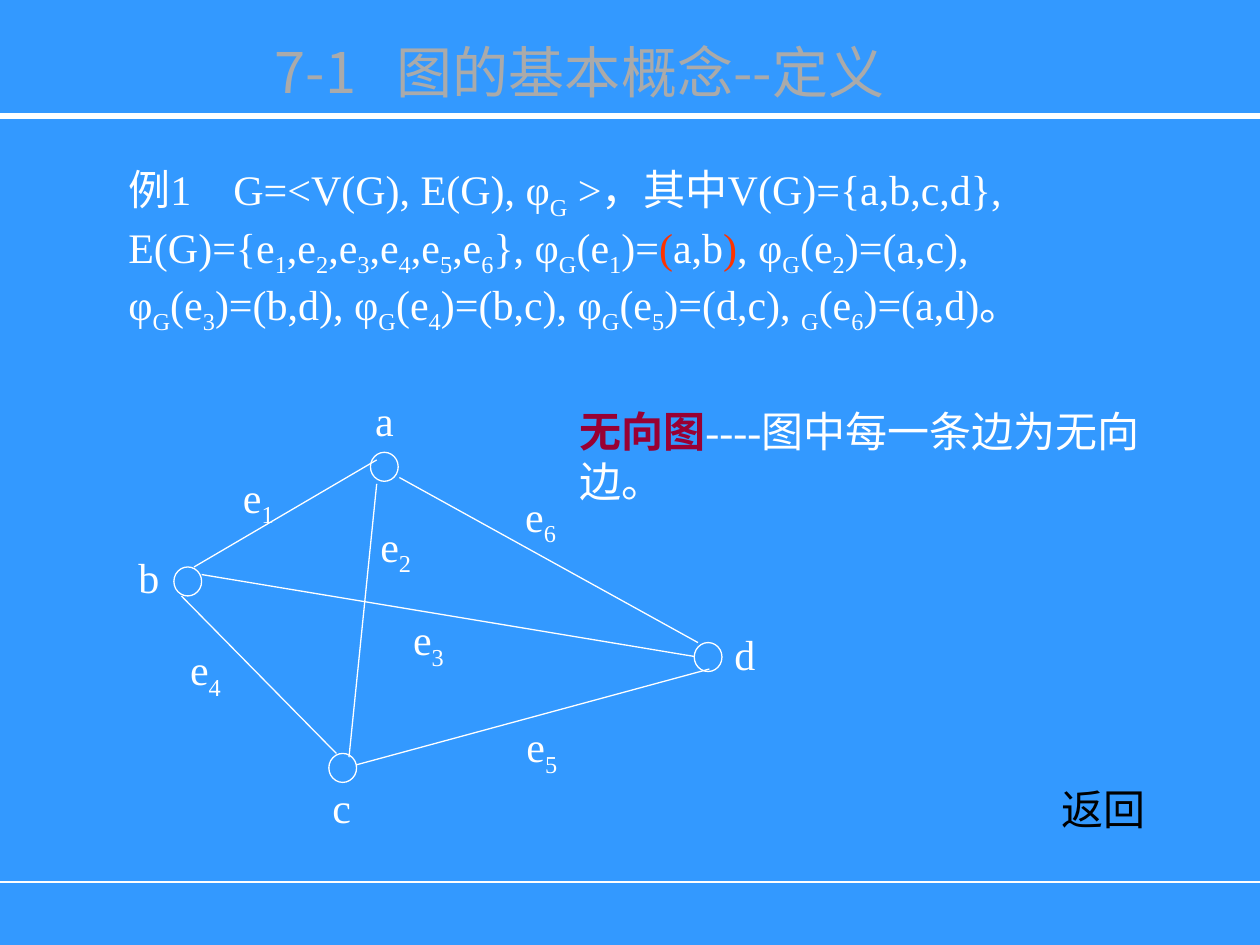
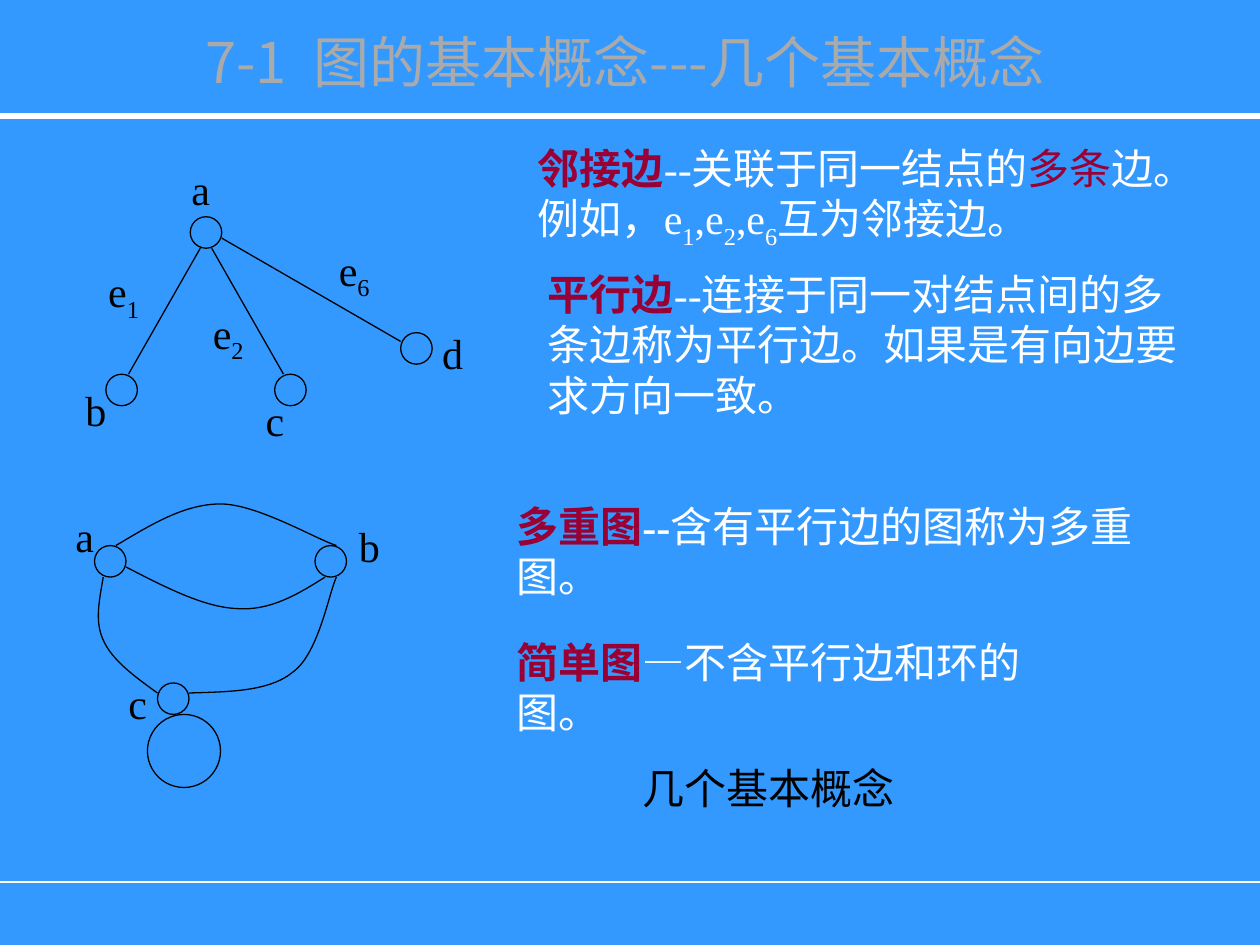
"""Build two slides on basic graph concepts: definition, and adjacent and parallel edges."""
import pptx
import pptx.dml.color
import pptx.enum.shapes
import pptx.enum.text
import pptx.oxml.ns
import pptx.util
from lxml import etree

Inches, Pt = pptx.util.Inches, pptx.util.Pt
RGBColor = pptx.dml.color.RGBColor
SKY = RGBColor(0x33, 0x99, 0xFF)
WHITE = RGBColor(0xFF, 0xFF, 0xFF)
BLACK = RGBColor(0x00, 0x00, 0x00)
SILVER = RGBColor(0xAA, 0xAA, 0xAA)
CRIMSON = RGBColor(0x99, 0x00, 0x33)
RED = RGBColor(0xFF, 0x33, 0x00)

SERIF, SANS = "Times New Roman", "Noto Sans CJK SC"
BODY = {"name": SERIF, "size": Pt(24)}
TITLE = {"name": SANS, "size": Pt(32), "color": SILVER}
TERM = {"color": CRIMSON, "bold": True}
MARK = {"color": CRIMSON}
ALERT = {"color": RED}
STRONG = {"bold": True}
PLAIN = {}
RULES = [(0.92, 3), (7, 0.75)]

DEFINITION = {
    "title": {"at": (1.6, 0.25, 6, 0.47),
              "pieces": [("7-1", PLAIN), (" ", {"spacing": 16}), ("图的基本概念--定义", PLAIN)]},
    "texts": [
        {"at": (0.92, 1.25, 7.95, 1.47), "color": WHITE, "paragraphs": [
            [("例1", PLAIN), (" ", {"spacing": 18}),
             ("G=<V(G), E(G), φ_G >，其中V(G)={a,b,c,d}, "
              "E(G)={e_1,e_2,e_3,e_4,e_5,e_6}, φ_G(e_1)=", PLAIN),
             ("(", ALERT), ("a,b", PLAIN), (")", ALERT), (", φ_G(e_2)=(a,c),", PLAIN)],
            [("φ_G(e_3)=(b,d), φ_G(e_4)=(b,c), φ_G(e_5)=(d,c), _G(e_6)=(a,d)。", PLAIN)]]},
        {"at": (8.33, 6.17, 1.08, 0.5), "color": BLACK, "paragraphs": [[("返回", PLAIN)]]},
        {"at": (4.5, 3.17, 5, 0.9), "color": WHITE, "paragraphs": [
            [("无向图", TERM), ("----图中每一条边为无向边。", PLAIN)]]},
    ],
    "graphs": [{
        "color": WHITE,
        "node_size": (0.22, 0.23),
        "nodes": [(2.94, 3.59), (1.38, 4.5), (2.61, 5.98), (5.51, 5.1)],
        "edges": [(1.54, 4.5, 2.99, 3.65), (3.17, 3.79, 5.54, 5.1), (1.44, 4.73, 2.67, 5.98),
                  (2.83, 6.07, 5.63, 5.31), (1.6, 4.56, 5.51, 5.21), (2.99, 3.84, 2.77, 6.01)],
        "curves": [],
        "label_widths": (0.56, 0.78),
        "labels": [("a", 2.88, 3.08), ("b", 1, 4.33), ("c", 2.54, 6.15), ("d", 5.73, 4.94),
                   ("e_1", 1.83, 3.69), ("e_2", 2.92, 4.08), ("e_3", 3.18, 4.82),
                   ("e_4", 1.41, 5.06), ("e_5", 4.08, 5.67), ("e_6", 4.07, 3.84)],
    }],
}

CONCEPTS = {
    "title": {"at": (1.16, 0.17, 7.6, 0.75),
              "pieces": [("7-1", PLAIN), (" ", {"spacing": 8}),
                         ("图的基本概念---几个基本概念", PLAIN)]},
    "texts": [
        {"at": (4.17, 1.08, 5.42, 0.96), "color": WHITE, "paragraphs": [
            [("邻接边", TERM), ("--关联于同一结点的", PLAIN), ("多条", MARK),
             ("边。例如，e_1,e_2,e_6互为邻接边。", PLAIN)]]},
        {"at": (4.25, 2.08, 5.33, 1.3), "color": WHITE, "paragraphs": [
            [("平行边", TERM),
             ("--连接于同一对结点间的多条边称为平行边。如果是有向边要求方向一致。", PLAIN)]]},
        {"at": (4, 3.92, 5.67, 0.5), "color": WHITE, "paragraphs": [
            [("多重图", TERM), ("--", STRONG), ("含有平行边的图称为多重图。", PLAIN)]]},
        {"at": (4, 5, 4.75, 0.5), "color": WHITE, "paragraphs": [
            [("简单图", TERM), ("—不含平行边和环的图。", PLAIN)]]},
        {"at": (5, 6, 2.33, 0.5), "color": BLACK, "paragraphs": [[("几个基本概念", PLAIN)]]},
    ],
    "graphs": [{
        "color": BLACK,
        "node_size": (0.25, 0.25),
        "nodes": [(1.51, 1.72), (0.84, 2.97), (2.18, 2.97), (3.18, 2.64)],
        "edges": [(1.59, 1.97, 1.02, 2.97), (1.68, 1.97, 2.25, 2.97), (1.76, 1.89, 3.18, 2.71)],
        "curves": [],
        "label_widths": (0.75, 0.75),
        "labels": [("a", 1.42, 1.25), ("b", 0.58, 3), ("c", 2.01, 3.08), ("d", 3.41, 2.55),
                   ("e_1", 0.76, 2.06), ("e_2", 1.59, 2.39), ("e_6", 2.59, 1.89)],
    }, {
        "color": BLACK,
        "node_size": (0.25, 0.25),
        "nodes": [(0.75, 4.33), (1.25, 5.42), (2.5, 4.33)],
        "loop": (1.17, 5.67, 0.58, 0.58),
        "edges": [],
        "curves": [
            [(1, 4.5), (1.31, 4.66), (1.62, 4.82), (1.88, 4.83),
             (2.14, 4.85), (2.36, 4.72), (2.58, 4.58)],
            [(0.82, 4.58), (0.79, 4.76), (0.75, 4.93), (0.82, 5.08),
             (0.89, 5.24), (1.07, 5.37), (1.25, 5.5)],
            [(1.5, 5.5), (1.82, 5.49), (2.14, 5.49), (2.33, 5.33),
             (2.53, 5.18), (2.61, 4.71), (2.67, 4.58)],
            [(0.92, 4.33), (1.19, 4.17), (1.46, 4), (1.75, 4),
             (2.04, 4), (2.51, 4.28), (2.67, 4.33)]],
        "label_widths": (0.33, 0.33),
        "labels": [("a", 0.5, 4), ("b", 2.75, 4.08), ("c", 0.92, 5.33)],
    }],
}


def add_span(para, text, style, subscript=False):
    span = para.add_run()
    span.text = text
    properties = span.font._element
    for name, value in style.items():
        if name == "color":
            span.font.color.rgb = value
        elif name == "spacing":
            properties.set("spc", str(value * 100))
        else:
            setattr(span.font, name, value)
    if subscript:
        properties.set("baseline", "-25000")
    east_asian = etree.SubElement(properties, pptx.oxml.ns.qn("a:ea"))
    east_asian.set("typeface", SANS)


def write(para, pieces, base):
    para._p.get_or_add_pPr().set("hangingPunct", "0")
    for text, extra in pieces:
        style = {**base, **extra}
        first, *rest = text.split("_")
        if first:
            add_span(para, first, style)
        for part in rest:
            add_span(para, part[0], style, subscript=True)
            if part[1:]:
                add_span(para, part[1:], style)


def add_text(page, at, color, paragraphs):
    box = page.shapes.add_textbox(*map(Inches, at))
    frame = box.text_frame
    frame.word_wrap = True
    frame.auto_size = pptx.enum.text.MSO_AUTO_SIZE.SHAPE_TO_FIT_TEXT
    for index, pieces in enumerate(paragraphs):
        para = frame.add_paragraph() if index else frame.paragraphs[0]
        write(para, pieces, {**BODY, "color": color})


def add_line(page, ends, color, width):
    line = page.shapes.add_connector(
        pptx.enum.shapes.MSO_CONNECTOR.STRAIGHT, *map(Inches, ends))
    line.line.color.rgb = color
    line.line.width = Pt(width)
    etree.SubElement(line._element.spPr, pptx.oxml.ns.qn("a:effectLst"))


def outline(shape, color):
    shape.shadow.inherit = False
    shape.fill.background()
    shape.line.color.rgb = color
    shape.line.width = Pt(0.75)


def add_circle(page, at, color):
    circle = page.shapes.add_shape(pptx.enum.shapes.MSO_SHAPE.OVAL, *map(Inches, at))
    outline(circle, color)


def add_curve(page, points, color):
    start, *controls = [tuple(map(Inches, point)) for point in points]
    builder = page.shapes.build_freeform(*start)
    builder.add_line_segments(controls, close=False)
    curve = builder.convert_to_shape()
    outline(curve, color)
    segments = list(curve._element.iter(pptx.oxml.ns.qn("a:lnTo")))
    outline_path = segments[0].getparent()
    for first in range(0, len(segments), 3):
        bend = etree.SubElement(outline_path, pptx.oxml.ns.qn("a:cubicBezTo"))
        for segment in segments[first:first + 3]:
            bend.append(segment[0])
            outline_path.remove(segment)


def add_graph(page, graph):
    color = graph["color"]
    for node in graph["nodes"]:
        add_circle(page, node + graph["node_size"], color)
    if "loop" in graph:
        add_circle(page, graph["loop"], color)
    for ends in graph["edges"]:
        add_line(page, ends, color, 0.75)
    for points in graph["curves"]:
        add_curve(page, points, color)
    for text, left, top in graph["labels"]:
        is_edge = "_" in text
        size = (graph["label_widths"][is_edge], 0.56 if is_edge else 0.5)
        add_text(page, (left, top) + size, color, [[(text, PLAIN)]])


def add_title(page, at, pieces):
    title = page.shapes.title
    title.left, title.top, title.width, title.height = map(Inches, at)
    frame = title.text_frame
    layout = {"word_wrap": False, "auto_size": pptx.enum.text.MSO_AUTO_SIZE.NONE,
              "vertical_anchor": pptx.enum.text.MSO_ANCHOR.TOP}
    for name, value in layout.items():
        setattr(frame, name, value)
    frame.paragraphs[0].alignment = pptx.enum.text.PP_ALIGN.CENTER
    write(frame.paragraphs[0], pieces, TITLE)


def add_page(deck, content):
    page = deck.slides.add_slide(deck.slide_layouts.get_by_name("Title Only"))
    for top, width in RULES:
        add_line(page, (0, top, 10, top), WHITE, width)
    add_title(page, **content["title"])
    for text in content["texts"]:
        add_text(page, **text)
    for graph in content["graphs"]:
        add_graph(page, graph)


def main():
    deck = pptx.Presentation()
    deck.slide_width, deck.slide_height = Inches(10), Inches(7.5)
    background = deck.slide_master.background.fill
    background.solid()
    background.fore_color.rgb = SKY
    for content in (DEFINITION, CONCEPTS):
        add_page(deck, content)
    deck.save("out.pptx")


if __name__ == "__main__":
    main()
